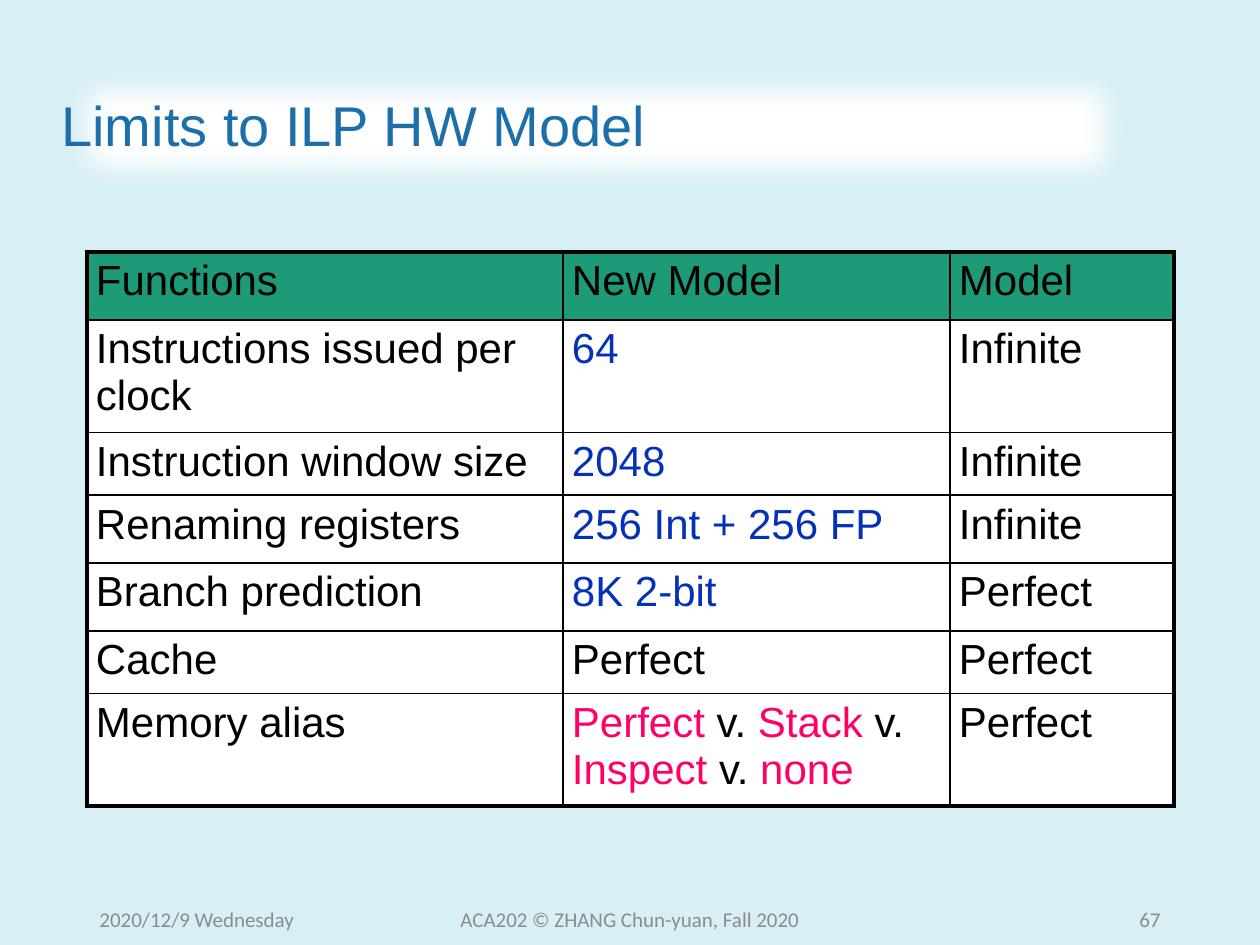
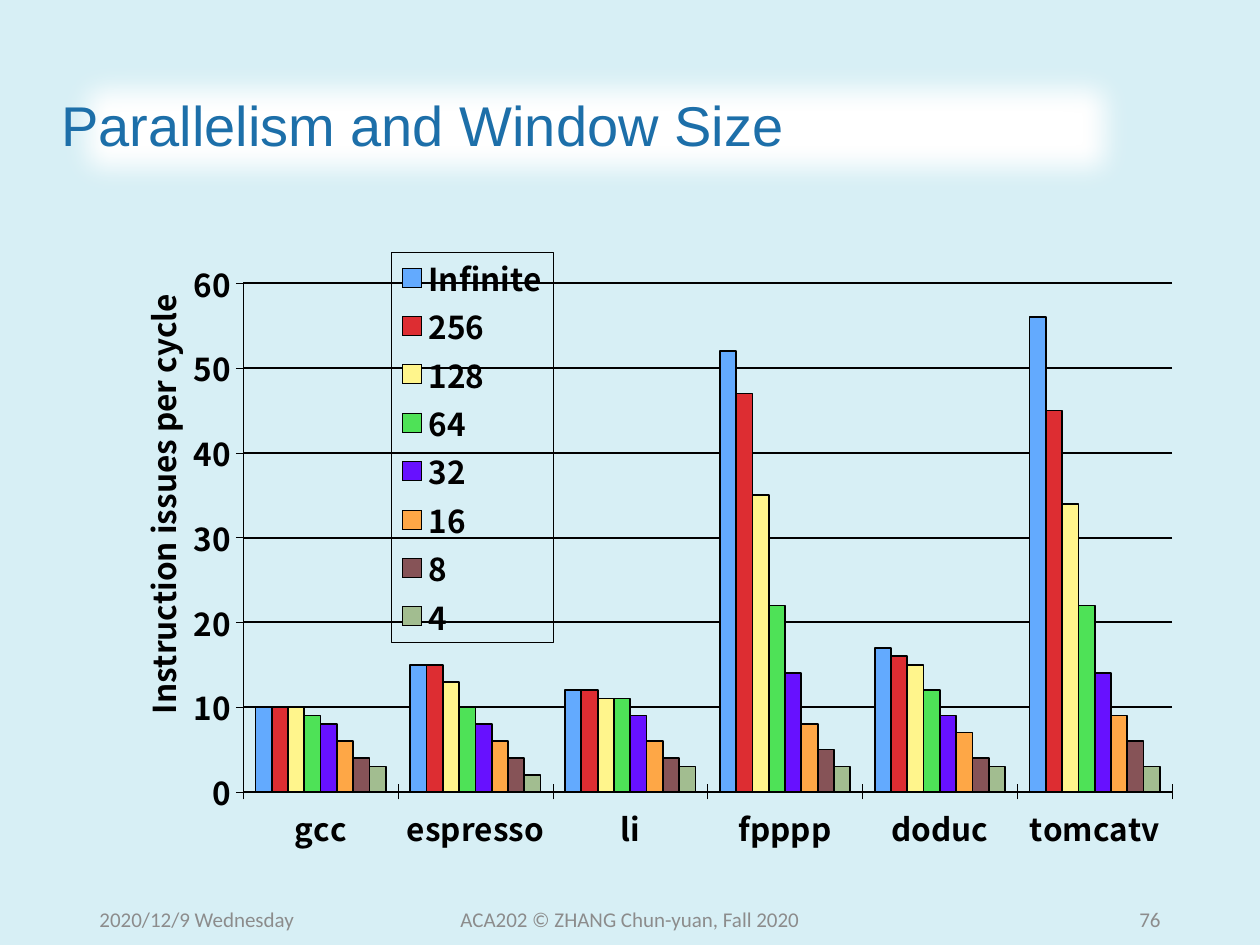
from lxml import etree
from pptx import Presentation
from pptx.chart.data import CategoryChartData
from pptx.dml.color import RGBColor
from pptx.enum.chart import XL_CHART_TYPE, XL_LEGEND_POSITION, XL_TICK_MARK
from pptx.enum.shapes import MSO_SHAPE
from pptx.enum.text import MSO_ANCHOR, PP_ALIGN
from pptx.oxml.ns import qn
from pptx.util import Pt

# Scale: 126 px to the inch
EMU_PER_PX = 914400 / 126
SLIDE_W, SLIDE_H = 1260, 945
CONTENT_LEFT, CONTENT_TOP = 87, 252

# Enum members
COLUMNS = XL_CHART_TYPE.COLUMN_CLUSTERED
LEGEND_RIGHT = XL_LEGEND_POSITION.RIGHT
TICK_CROSS = XL_TICK_MARK.CROSS
RECTANGLE = MSO_SHAPE.RECTANGLE
MIDDLE = MSO_ANCHOR.MIDDLE
LEFT, CENTER, RIGHT = PP_ALIGN.LEFT, PP_ALIGN.CENTER, PP_ALIGN.RIGHT

# Colours and fonts
BACKGROUND = RGBColor(0xD7, 0xEF, 0xF5)
TITLE_BLUE = RGBColor(0x1D, 0x6F, 0xA9)
FOOTER_GREY = RGBColor(0x8C, 0x8C, 0x8C)
HEADER_GREEN = RGBColor(0x1D, 0x9A, 0x78)
VALUE_BLUE = RGBColor(0x03, 0x32, 0xB7)
PINK = RGBColor(0xFF, 0x00, 0x66)
BLACK = RGBColor(0, 0, 0)
WHITE = RGBColor(0xFF, 0xFF, 0xFF)
BODY_FONT, FOOTER_FONT, CHART_FONT = "Arial", "Calibri", "Noto Sans CJK SC"

# Hardware model table: each cell is a list of (text, colour) runs
MODEL_COLUMNS = [476, 387, 224]
MODEL_ROWS = [68, 93, 39, 68, 68, 37, 93]
ALIAS_CHOICES = [("Perfect ", PINK), ("v.", BLACK), (" Stack ", PINK), ("v. ", BLACK),
                 ("Inspect ", PINK), ("v.", BLACK), (" none", PINK)]
MODEL_CELLS = [
    [[("Functions", BLACK)], [("New Model", BLACK)], [("Model", BLACK)]],
    [[("Instructions issued per clock", BLACK)], [("64", VALUE_BLUE)], [("Infinite", BLACK)]],
    [[("Instruction window size", BLACK)], [("2048", VALUE_BLUE)], [("Infinite", BLACK)]],
    [[("Renaming registers", BLACK)], [("256 Int + 256 FP", VALUE_BLUE)], [("Infinite", BLACK)]],
    [[("Branch prediction", BLACK)], [("8K 2-bit", VALUE_BLUE)], [("Perfect", BLACK)]],
    [[("Cache", BLACK)], [("Perfect", BLACK)], [("Perfect", BLACK)]],
    [[("Memory alias", BLACK)], ALIAS_CHOICES, [("Perfect", BLACK)]],
]

# Issues per cycle by window size
PROGRAMS = ["gcc", "espresso", "li", "fpppp", "doduc", "tomcatv"]
WINDOW_SIZES = [
    ("Infinite", RGBColor(0x63, 0xAA, 0xFE), [10, 15, 12, 52, 17, 56]),
    ("256", RGBColor(0xDD, 0x2D, 0x32), [10, 15, 12, 47, 16, 45]),
    ("128", RGBColor(0xFF, 0xF5, 0x8C), [10, 13, 11, 35, 15, 34]),
    ("64", RGBColor(0x4E, 0xE2, 0x57), [9, 10, 11, 22, 12, 22]),
    ("32", RGBColor(0x67, 0x11, 0xFF), [8, 8, 9, 14, 9, 14]),
    ("16", RGBColor(0xFE, 0xA7, 0x46), [6, 6, 6, 8, 7, 9]),
    ("8", RGBColor(0x86, 0x53, 0x57), [4, 4, 4, 5, 4, 6]),
    ("4", RGBColor(0xA2, 0xBD, 0x90), [3, 2, 3, 3, 3, 3]),
]


def px(length):
    return round(length * EMU_PER_PX)


def box(*lengths):
    return [px(length) for length in lengths]


def style_font(font, name, size, color, bold=False):
    font.name, font.size, font.bold = name, Pt(size), bold
    font.color.rgb = color


def add_line(parent, tag, width, index):
    """Put a solid black outline into a cell or chart part."""
    line = etree.Element(qn(tag), w=str(Pt(width)))
    fill = etree.SubElement(line, qn("a:solidFill"))
    etree.SubElement(fill, qn("a:srgbClr"), val=str(BLACK))
    parent.insert(index, line)


# Shared slide parts
def add_title(slide, text):
    band = slide.shapes.add_shape(RECTANGLE, *box(49, 51, 1095, 155))
    band.fill.solid()
    band.fill.fore_color.rgb = WHITE
    band.line.fill.background()
    band.shadow.inherit = False
    effects = band._element.spPr.find(qn("a:effectLst"))
    etree.SubElement(effects, qn("a:softEdge"), rad=str(Pt(18)))
    frame = band.text_frame
    frame.word_wrap = True
    frame.vertical_anchor = MIDDLE
    frame.text = text
    heading = frame.paragraphs[0]
    heading.alignment, heading.line_spacing = LEFT, 0.9
    style_font(heading.runs[0].font, BODY_FONT, 32, TITLE_BLUE)


def add_footer(slide, left, width, text, alignment):
    frame = slide.shapes.add_textbox(*box(left, 894, width, 50)).text_frame
    frame.word_wrap = True
    frame.vertical_anchor = MIDDLE
    frame.text = text
    frame.paragraphs[0].alignment = alignment
    style_font(frame.paragraphs[0].runs[0].font, FOOTER_FONT, 12, FOOTER_GREY)


def add_content_slide(deck, title, number):
    slide = deck.slides.add_slide(deck.slide_layouts[6])
    slide.background.fill.solid()
    slide.background.fill.fore_color.rgb = BACKGROUND
    add_title(slide, title)
    add_footer(slide, 87, 284, "2020/12/9 Wednesday", LEFT)
    add_footer(slide, 417, 426, "ACA202 © ZHANG Chun-yuan, Fall 2020", CENTER)
    add_footer(slide, 889, 284, str(number), RIGHT)
    return slide


# Table
def fill_cell(cell, runs, color):
    cell.margin_left = cell.margin_right = px(9)
    cell.margin_top = cell.margin_bottom = px(6)
    cell.fill.solid()
    cell.fill.fore_color.rgb = color
    paragraph = cell.text_frame.paragraphs[0]
    for text, run_color in runs:
        run = paragraph.add_run()
        run.text = text
        style_font(run.font, BODY_FONT, 24, run_color)


def add_model_table(slide):
    row_count, column_count = len(MODEL_ROWS), len(MODEL_COLUMNS)
    table = slide.shapes.add_table(
        row_count, column_count,
        *box(CONTENT_LEFT, CONTENT_TOP, sum(MODEL_COLUMNS), sum(MODEL_ROWS))).table
    table.first_row = table.horz_banding = False
    for column, width in zip(table.columns, MODEL_COLUMNS):
        column.width = px(width)
    for row, height in zip(table.rows, MODEL_ROWS):
        row.height = px(height)
    for r, cells in enumerate(MODEL_CELLS):
        for c, runs in enumerate(cells):
            cell = table.cell(r, c)
            fill_cell(cell, runs, WHITE if r else HEADER_GREEN)
            # Heavy frame outside, thin rules inside
            outer_edges = {"a:lnL": c == 0, "a:lnR": c == column_count - 1,
                           "a:lnT": r == 0, "a:lnB": r == row_count - 1}
            for index, (edge, outer) in enumerate(outer_edges.items()):
                add_line(cell._tc.get_or_add_tcPr(), edge, 2.25 if outer else 1, index)


# Chart
def place_chart_part(part, index, **settings):
    """Give a chart part a manual layout as fractions of the chart."""
    for old_layout in part.findall(qn("c:layout")):
        part.remove(old_layout)
    layout = etree.Element(qn("c:layout"))
    manual = etree.SubElement(layout, qn("c:manualLayout"))
    for name, value in settings.items():
        etree.SubElement(manual, qn(f"c:{name}"), val=str(value))
    part.insert(index, layout)


def style_axis(axis):
    axis.major_tick_mark = TICK_CROSS
    axis.format.line.color.rgb = BLACK
    axis.format.line.width = Pt(0.25)
    style_font(axis.tick_labels.font, CHART_FONT, 18, BLACK, True)


def style_value_axis(axis):
    style_axis(axis)
    axis.minimum_scale, axis.maximum_scale, axis.major_unit = 0, 60, 10
    axis.major_gridlines.format.line.color.rgb = BLACK
    axis.major_gridlines.format.line.width = Pt(1)
    caption = axis.axis_title.text_frame
    caption.text = "Instruction issues per cycle"
    style_font(caption.paragraphs[0].runs[0].font, CHART_FONT, 18, BLACK, True)
    caption._txBody.bodyPr.set("rot", "-5400000")
    caption._txBody.bodyPr.set("vert", "horz")
    place_chart_part(axis.axis_title._element, 1, xMode="edge", yMode="edge", x=0.04, y=0.06)


def add_legend(chart):
    chart.has_legend = True
    legend = chart.legend
    legend.position = LEGEND_RIGHT
    legend.include_in_layout = True
    style_font(legend.font, CHART_FONT, 18, BLACK, True)
    place_chart_part(legend._element, 1, xMode="edge", yMode="edge",
                     x=0.28, y=0, w=0.15, h=0.65)
    frame = etree.Element(qn("c:spPr"))
    etree.SubElement(frame, qn("a:noFill"))
    add_line(frame, "a:ln", 0.25, 1)
    legend._element.find(qn("c:overlay")).addnext(frame)


def add_window_chart(slide):
    data = CategoryChartData()
    data.categories = PROGRAMS
    for name, _, issues in WINDOW_SIZES:
        data.add_series(name, issues)
    chart = slide.shapes.add_chart(
        COLUMNS, *box(CONTENT_LEFT, CONTENT_TOP, 1086, 600), data).chart
    chart.has_title = False
    style_font(chart.font, CHART_FONT, 18, BLACK, True)
    plot = chart.plots[0]
    plot.vary_by_categories = False
    plot.gap_width, plot.overlap = 150, 0
    for series, (_, color, _) in zip(plot.series, WINDOW_SIZES):
        series.format.fill.solid()
        series.format.fill.fore_color.rgb = color
        series.format.line.color.rgb = BLACK
        series.format.line.width = Pt(1)
    style_axis(chart.category_axis)
    style_value_axis(chart.value_axis)
    add_legend(chart)
    plot_area = chart._chartSpace.chart.plotArea
    place_chart_part(plot_area, 0, layoutTarget="inner", xMode="edge", yMode="edge",
                     x=0.144, y=0.052, w=0.856, h=0.848)


def main():
    deck = Presentation()
    deck.slide_width, deck.slide_height = box(SLIDE_W, SLIDE_H)
    add_model_table(add_content_slide(deck, "Limits to ILP HW Model", 67))
    add_window_chart(add_content_slide(deck, "Parallelism and Window Size", 76))
    deck.save("out.pptx")


if __name__ == "__main__":
    main()
